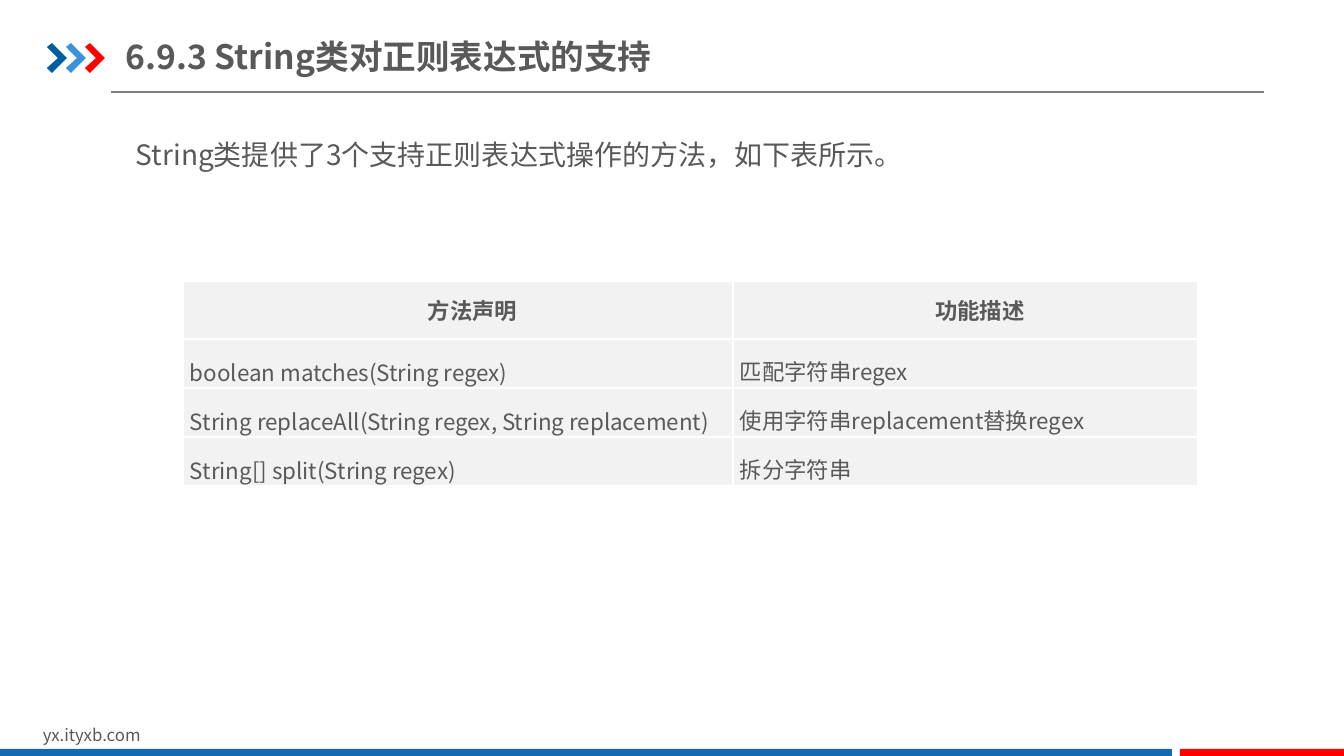
from lxml.etree import SubElement
from pptx import Presentation
from pptx.dml.color import RGBColor
from pptx.enum.shapes import MSO_CONNECTOR, MSO_SHAPE
from pptx.enum.text import MSO_ANCHOR, MSO_AUTO_SIZE, PP_ALIGN
from pptx.oxml import parse_xml
from pptx.oxml.ns import nsdecls, qn
from pptx.util import Pt

PX = 914400 / 100.8
FONT = "Noto Sans CJK SC"
GREY = "595959"


def color(value):
    return RGBColor.from_string(value)


def write(frame, text, size, bold=False, align=PP_ALIGN.LEFT, spacing=1.0, indent=0):
    para = frame.paragraphs[0]
    para.alignment = align
    para.line_spacing = spacing
    if indent:
        para._p.get_or_add_pPr().set("indent", str(round(indent * PX)))
    span = para.add_run()
    span.text = text
    span.font.name = FONT
    span.font.size = Pt(size)
    span.font.bold = bold
    span.font.color.rgb = color(GREY)
    SubElement(span._r.get_or_add_rPr(), qn("a:ea")).set("typeface", FONT)


deck = Presentation()
deck.slide_width = round(1344 * PX)
deck.slide_height = round(756 * PX)
page = deck.slides.add_slide(deck.slide_layouts[5])
shapes = page.shapes

# Rule under the title
rule = shapes.add_connector(
    MSO_CONNECTOR.STRAIGHT, *[round(v * PX) for v in (111, 92, 1264, 92)]
)
rule.line.color.rgb = color("808080")
rule.line.width = Pt(0.75)
SubElement(rule._element.spPr, qn("a:effectLst"))

# Three chevrons
chevron_points = [(0, 4), (5, 0), (20, 15), (5, 30), (0, 25), (11, 15)]
for index, fill in enumerate(["005DA2", "3992DB", "FF0000"]):
    left, top = 47 + 19 * index, 43
    points = [(left + x, top + y) for x, y in chevron_points]
    builder = shapes.build_freeform(*points[0], scale=PX)
    builder.add_line_segments(points[1:], close=True)
    chevron = builder.convert_to_shape()
    chevron.shadow.inherit = False
    chevron.fill.solid()
    chevron.fill.fore_color.rgb = color(fill)
    chevron.line.fill.background()

# Footer bars
for left, width, fill in [(0, 1172, "1369B2"), (1180, 164, "FF0000")]:
    bar = shapes.add_shape(
        MSO_SHAPE.RECTANGLE, *[round(v * PX) for v in (left, 749, width, 7)]
    )
    bar.shadow.inherit = False
    bar.fill.solid()
    bar.fill.fore_color.rgb = color(fill)
    bar.line.fill.background()

# Title
title = shapes.title
title.left, title.top, title.width, title.height = [
    round(v * PX) for v in (126, 29, 560, 55)
]
title_frame = title.text_frame
title_frame.auto_size = MSO_AUTO_SIZE.NONE
title_frame.vertical_anchor = MSO_ANCHOR.MIDDLE
title_frame.margin_left = title_frame.margin_right = 0
title_frame.margin_top = title_frame.margin_bottom = round(7 * PX)
write(title_frame, "6.9.3 String类对正则表达式的支持", size=24, bold=True)

# Introduction and footer address
for place, text, size, spacing in [
    ((126, 126, 800, 50), "String类提供了3个支持正则表达式操作的方法，如下表所示。", 20, 1.2),
    ((33, 720, 321, 30), "yx.ityxb.com", 12, 1.0),
]:
    box = shapes.add_textbox(*[round(v * PX) for v in place])
    box.text_frame.word_wrap = True
    write(box.text_frame, text, size=size, spacing=spacing)

# Table of methods
rows = [
    ("方法声明", "功能描述"),
    ("boolean matches(String regex)", "匹配字符串regex"),
    ("String replaceAll(String regex, String replacement)", "使用字符串replacement替换regex"),
    ("String[] split(String regex)", "拆分字符串"),
]
column_widths = [550, 465]
row_heights = [58, 49, 49, 49]
place = (183, 281, sum(column_widths), sum(row_heights))
table = shapes.add_table(4, 2, *[round(v * PX) for v in place]).table
table.first_row = table.horz_banding = False
for column, width in zip(table.columns, column_widths):
    column.width = round(width * PX)
for row, height in zip(table.rows, row_heights):
    row.height = round(height * PX)

for row_index, texts in enumerate(rows):
    header = row_index == 0
    for column_index, text in enumerate(texts):
        cell = table.cell(row_index, column_index)
        cell.fill.solid()
        cell.fill.fore_color.rgb = color("F2F2F2")
        cell.margin_left = cell.margin_right = round(7 * PX)
        cell.margin_top = cell.margin_bottom = 0
        centred = header or column_index == 0
        cell.vertical_anchor = MSO_ANCHOR.MIDDLE if centred else MSO_ANCHOR.TOP
        if header:
            write(cell.text_frame, text, size=16, bold=True, align=PP_ALIGN.CENTER, indent=29)
        else:
            write(cell.text_frame, text, size=16, spacing=1.5)
        # Borders come before the fill
        for position, side in enumerate(["lnL", "lnR", "lnT", "lnB"]):
            border = parse_xml(
                f'<a:{side} {nsdecls("a")} w="{Pt(1)}"><a:solidFill>'
                f'<a:srgbClr val="FFFFFF"/></a:solidFill></a:{side}>'
            )
            cell._tc.get_or_add_tcPr().insert(position, border)

deck.save("out.pptx")
